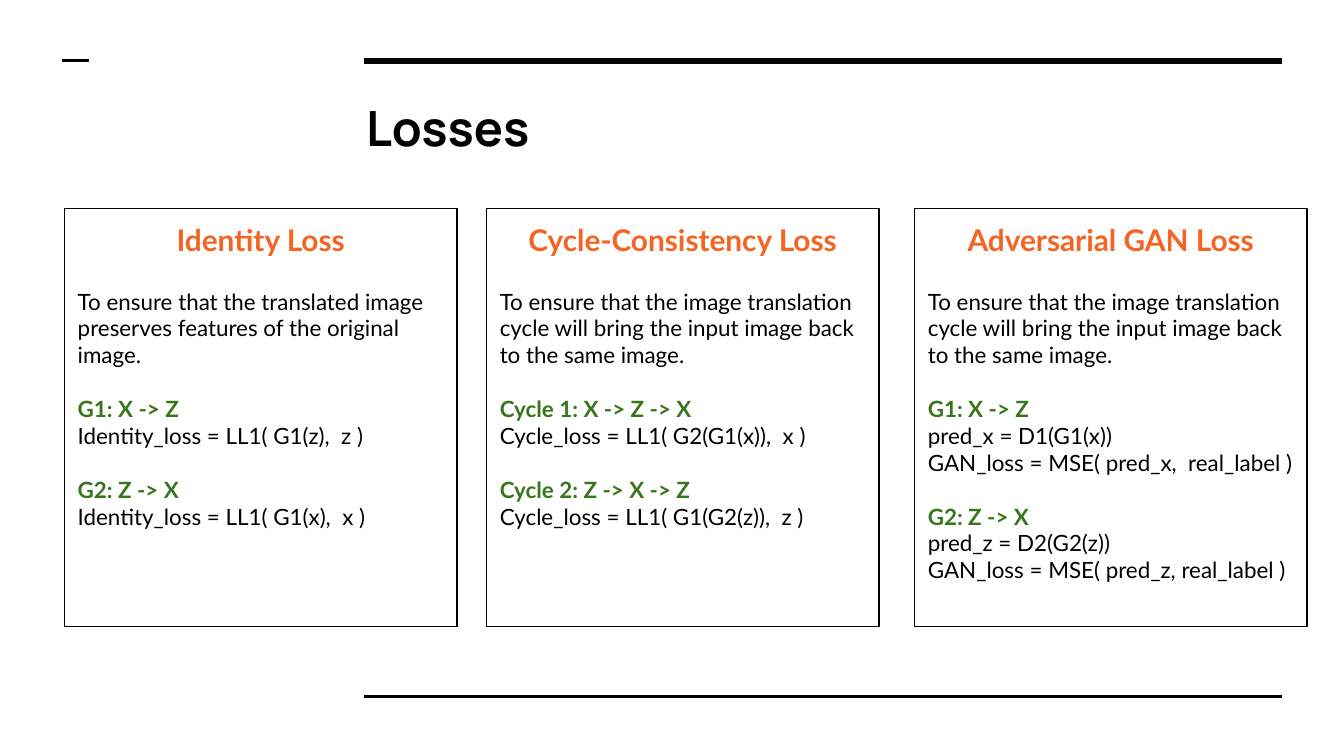
from dataclasses import dataclass

from lxml import etree
from pptx import Presentation
from pptx import util as u
from pptx.dml.color import RGBColor
from pptx.enum import shapes, text
from pptx.oxml.ns import qn

SLIDE_WIDTH, SLIDE_HEIGHT = u.Inches(10), u.Inches(10) * 9 // 16
BLACK, ORANGE, GREEN = "000000", "F46524", "38761D"
LINE_PITCH = 14.4  # points, one line of 12 pt body text


@dataclass(frozen=True)
class Box:
    """Position and size in percent of the slide's width and height."""
    left: float
    top: float
    width: float
    height: float


@dataclass(frozen=True)
class Rule:
    """Horizontal line, in percent of the slide's size."""
    start: float
    end: float
    y: float
    weight: float


@dataclass(frozen=True)
class Formula:
    heading: str
    code: str


@dataclass(frozen=True)
class LossCard:
    left: float
    title: str
    purpose: str
    formulas: tuple[Formula, ...]


CYCLE_PURPOSE = ("To ensure that the image translation cycle will bring "
                 "the input image back to the same image.")

RULES = (
    Rule(27.1, 95.4, 8.05, 3),
    Rule(27.1, 95.4, 92.13, 1.5),
    Rule(4.65, 6.65, 8.05, 1.5),
)
TITLE_BOX = Box(26.25, 11.2, 69.1, 12.27)
CARD_TOP, CARD_WIDTH, CARD_HEIGHT = 27.6, 29.2, 55.29

CARDS = (
    LossCard(4.8, "Identity Loss",
             "To ensure that the translated image preserves features "
             "of the original image.",
             (Formula("G1: X -> Z", "Identity_loss = LL1( G1(z),  z )"),
              Formula("G2: Z -> X", "Identity_loss = LL1( G1(x),  x )"))),
    LossCard(36.2, "Cycle-Consistency Loss", CYCLE_PURPOSE,
             (Formula("Cycle 1: X -> Z -> X", "Cycle_loss = LL1( G2(G1(x)),  x )"),
              Formula("Cycle 2: Z -> X -> Z", "Cycle_loss = LL1( G1(G2(z)),  z )"))),
    LossCard(68.05, "Adversarial GAN Loss", CYCLE_PURPOSE,
             (Formula("G1: X -> Z",
                      "pred_x = D1(G1(x))\nGAN_loss = MSE( pred_x,  real_label )"),
              Formula("G2: Z -> X",
                      "pred_z = D2(G2(z))\nGAN_loss = MSE( pred_z, real_label )"))),
)


def color(value: str) -> RGBColor:
    return RGBColor.from_string(value)


def across(percent: float) -> int:
    return round(SLIDE_WIDTH * percent / 100)


def down(percent: float) -> int:
    return round(SLIDE_HEIGHT * percent / 100)


def frame_of(shape):
    """Prepare a shape's text frame: wrapped, top-anchored, even insets."""
    frame = shape.text_frame
    frame.word_wrap = True
    frame.vertical_anchor = text.MSO_ANCHOR.TOP
    frame.margin_left = frame.margin_right = u.Inches(0.1)
    frame.margin_top = frame.margin_bottom = u.Inches(0.1)
    return frame


def write(frame, content: str, *, size: float = 12, font: str = "Lato",
          fill: str = BLACK, bold: bool = False, before: float = 0,
          align=text.PP_ALIGN.LEFT) -> None:
    """Add a paragraph with line breaks, using the frame's first one while empty."""
    first = frame.paragraphs[0]
    paragraph = frame.add_paragraph() if first.runs else first
    paragraph.alignment = align
    if before:
        paragraph.space_before = u.Pt(before)
    for index, line in enumerate(content.splitlines()):
        if index:
            paragraph.add_line_break()
        run = paragraph.add_run()
        run.text = line
        run.font.size = u.Pt(size)
        run.font.name = font
        run.font.bold = bold
        run.font.color.rgb = color(fill)


def draw_rule(slide, rule: Rule) -> None:
    connector = slide.shapes.add_connector(
        shapes.MSO_CONNECTOR.STRAIGHT, across(rule.start), down(rule.y),
        across(rule.end), down(rule.y))
    connector.line.color.rgb = color(BLACK)
    connector.line.width = u.Pt(rule.weight)
    properties = connector._element.find(qn("p:spPr"))
    etree.SubElement(properties, qn("a:effectLst"))


def draw_title(slide, content: str, box: Box) -> None:
    shape = slide.shapes.add_textbox(across(box.left), down(box.top),
                                     across(box.width), down(box.height))
    write(frame_of(shape), content, size=26, font="Manrope", bold=True)


def draw_card(slide, card: LossCard) -> None:
    shape = slide.shapes.add_shape(
        shapes.MSO_SHAPE.RECTANGLE, across(card.left), down(CARD_TOP),
        across(CARD_WIDTH), down(CARD_HEIGHT))
    shape.shadow.inherit = False
    shape.fill.background()
    shape.line.color.rgb = color(BLACK)
    shape.line.width = u.Pt(0.75)

    frame = frame_of(shape)
    write(frame, card.title, size=16, fill=ORANGE, bold=True,
          align=text.PP_ALIGN.CENTER)
    write(frame, card.purpose, before=16)
    for formula in card.formulas:
        write(frame, formula.heading, fill=GREEN, bold=True, before=LINE_PITCH)
        write(frame, formula.code)


def main() -> None:
    presentation = Presentation()
    presentation.slide_width = SLIDE_WIDTH
    presentation.slide_height = SLIDE_HEIGHT
    slide = presentation.slides.add_slide(presentation.slide_layouts[6])
    for rule in RULES:
        draw_rule(slide, rule)
    draw_title(slide, "Losses", TITLE_BOX)
    for card in CARDS:
        draw_card(slide, card)
    presentation.save("out.pptx")


if __name__ == "__main__":
    main()
